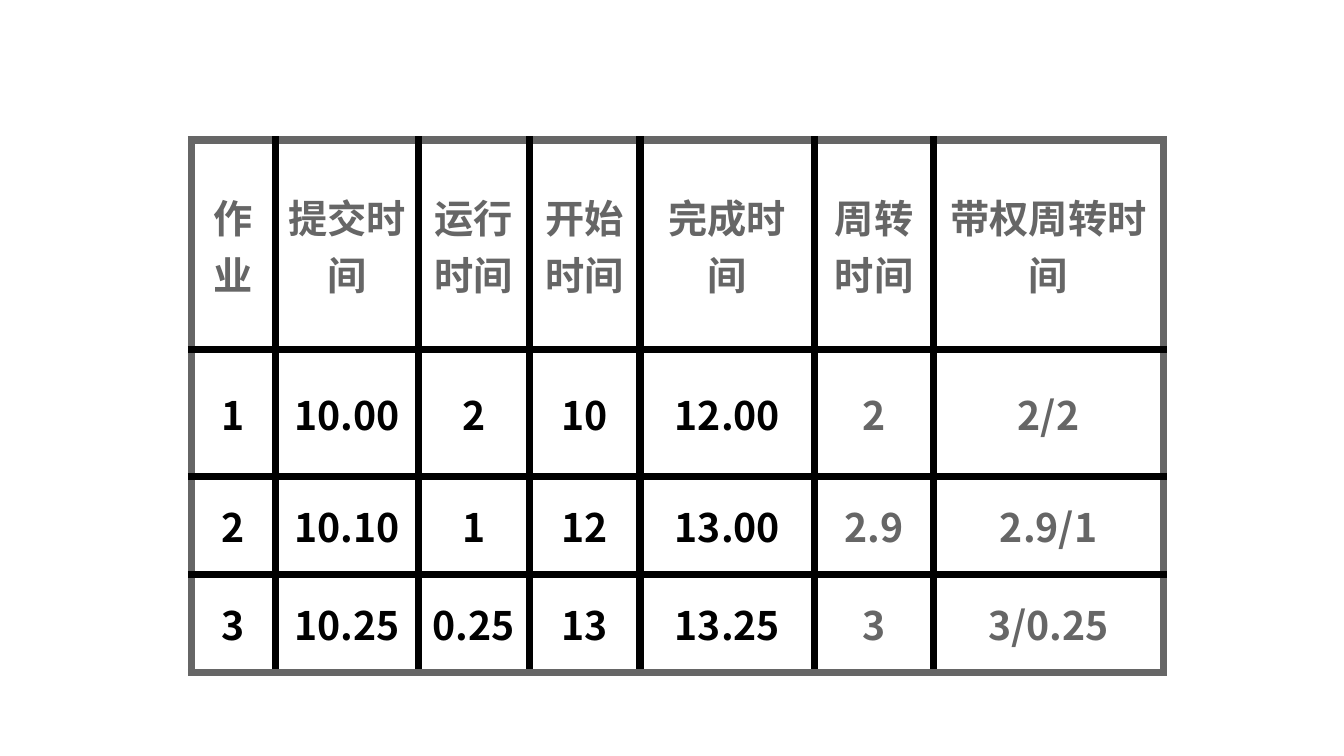
from lxml import etree
from pptx import Presentation
from pptx.dml.color import RGBColor
from pptx.enum import text
from pptx.oxml import ns
from pptx.util import Inches, Pt

# Content
ROWS = [
    ("作业", "提交时间", "运行时间", "开始时间", "完成时间", "周转时间", "带权周转时间"),
    ("1", "10.00", "2", "10", "12.00", "2", "2/2"),
    ("2", "10.10", "1", "12", "13.00", "2.9", "2.9/1"),
    ("3", "10.25", "0.25", "13", "13.25", "3", "3/0.25"),
]
FIRST_RESULT_COLUMN = 5

# Grid in inches
LEFT, TOP = 1.9, 1.39
COLUMN_WIDTHS = (0.83, 1.42, 1.1, 1.1, 1.73, 1.18, 2.28)
ROW_HEIGHTS = (2.08, 1.26, 0.97, 0.97)

# Style
FONT = "Noto Sans CJK SC"
GRAY = RGBColor(0x66, 0x66, 0x66)
BLACK = RGBColor(0, 0, 0)
WHITE = RGBColor(255, 255, 255)
BORDER = Pt(6)


def add_border(cell, side, color):
    properties = cell._tc.get_or_add_tcPr()
    line = etree.SubElement(properties, ns.qn(f"a:ln{side}"), w=str(BORDER))
    fill = etree.SubElement(line, ns.qn("a:solidFill"))
    etree.SubElement(fill, ns.qn("a:srgbClr"), val=str(color))


def write_cell(cell, words, color):
    cell.text_frame.text = words
    cell.vertical_anchor = text.MSO_ANCHOR.MIDDLE
    paragraph = cell.text_frame.paragraphs[0]
    paragraph.alignment = text.PP_ALIGN.CENTER
    run = paragraph.runs[0]
    run.font.size, run.font.bold, run.font.name = Pt(28), True, FONT
    run.font.color.rgb = color
    etree.SubElement(run._r.get_or_add_rPr(), ns.qn("a:ea"), typeface=FONT)


presentation = Presentation()
presentation.slide_width, presentation.slide_height = Inches(13.33), Inches(7.5)
slide = presentation.slides.add_slide(presentation.slide_layouts[6])

# Job scheduling table
table = slide.shapes.add_table(
    len(ROWS), len(COLUMN_WIDTHS), Inches(LEFT), Inches(TOP),
    Inches(sum(COLUMN_WIDTHS)), Inches(sum(ROW_HEIGHTS)),
).table
table.horz_banding = False
for column, width in zip(table.columns, COLUMN_WIDTHS):
    column.width = Inches(width)
for row, height in zip(table.rows, ROW_HEIGHTS):
    row.height = Inches(height)

# Gray outer frame, black inner lines; gray headings and results
last_row, last_column = len(ROWS) - 1, len(COLUMN_WIDTHS) - 1
for r, values in enumerate(ROWS):
    for c, words in enumerate(values):
        cell = table.cell(r, c)
        on_frame = {"L": c == 0, "R": c == last_column, "T": r == 0, "B": r == last_row}
        for side, outer in on_frame.items():
            add_border(cell, side, GRAY if outer else BLACK)
        cell.fill.solid()
        cell.fill.fore_color.rgb = WHITE
        write_cell(cell, words, GRAY if r == 0 or c >= FIRST_RESULT_COLUMN else BLACK)

presentation.save("out.pptx")
